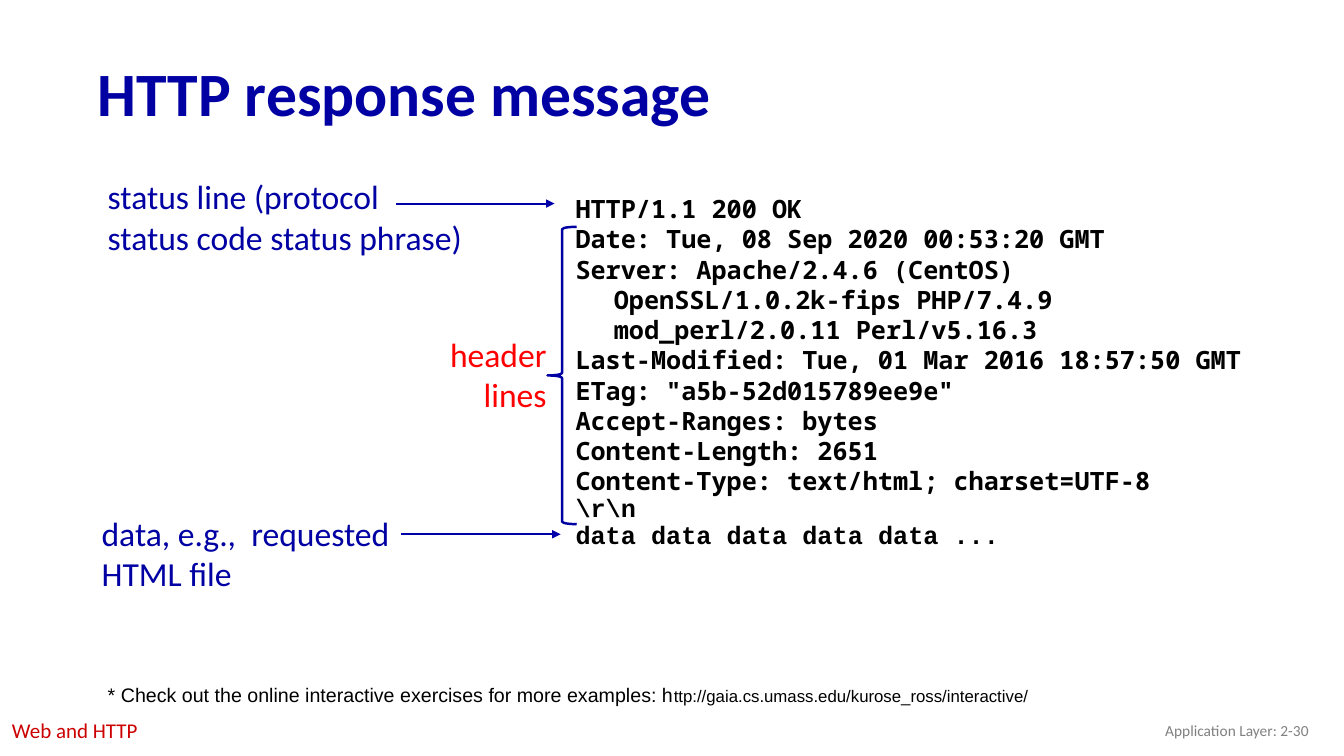
from lxml import etree
from pptx import Presentation
from pptx.dml.color import RGBColor
from pptx.enum.shapes import MSO_CONNECTOR, MSO_SHAPE
from pptx.enum.text import MSO_ANCHOR, PP_ALIGN
from pptx.oxml.ns import qn
from pptx.util import Emu, Pt

STRAIGHT = MSO_CONNECTOR.STRAIGHT
LEFT_BRACE = MSO_SHAPE.LEFT_BRACE
LEFT, RIGHT = PP_ALIGN.LEFT, PP_ALIGN.RIGHT
TOP, MIDDLE = MSO_ANCHOR.TOP, MSO_ANCHOR.MIDDLE

EMU_PER_PX = 9144  # 100 px to the inch
NAVY, ARROW_BLUE = "0000A3", "0000A8"
RED, DARK_RED = "FF0000", "CC0000"
GRAY, BLACK = "808080", "000000"
SANS, MONO, COURIER = "Calibri", "Noto Sans Mono", "Courier New"

RESPONSE_HEAD = [
    "HTTP/1.1 200 OK",
    "Date: Tue, 08 Sep 2020 00:53:20 GMT",
    "Server: Apache/2.4.6 (CentOS) OpenSSL/1.0.2k-fips PHP/7.4.9 "
    "mod_perl/2.0.11 Perl/v5.16.3",
    "Last-Modified: Tue, 01 Mar 2016 18:57:50 GMT",
    'ETag: "a5b-52d015789ee9e"',
    "Accept-Ranges: bytes",
    "Content-Length: 2651",
    "Content-Type: text/html; charset=UTF-8",
]
RESPONSE_BODY = ["\\r\\n", "data data data data data ..."]


def px(length):
    return Emu(length * EMU_PER_PX)


def color(hex_code):
    return RGBColor.from_string(hex_code)


def add_box(page, left, top, width, height, anchor=TOP, wrap=True):
    """Add an empty text box and return its text frame."""
    box = page.shapes.add_textbox(px(left), px(top), px(width), px(height))
    frame = box.text_frame
    frame.word_wrap = wrap
    frame.vertical_anchor = anchor
    return frame


def add_span(para, text, size=24, font=SANS, ink=NAVY, bold=False):
    span = para.add_run()
    span.text = text
    span.font.size = Pt(size)
    span.font.name = font
    span.font.bold = bold
    span.font.color.rgb = color(ink)


def write_lines(frame, lines, align=LEFT, spacing=1.0, hanging=0, **style):
    """Append one paragraph per line, filling the empty first one."""
    for line in lines:
        para = frame.paragraphs[0] if not frame.text else frame.add_paragraph()
        para.alignment = align
        para.line_spacing = spacing
        if hanging:
            properties = para._p.get_or_add_pPr()
            properties.set("marL", str(px(hanging)))
            properties.set("indent", str(-px(hanging)))
        add_span(para, line, **style)


def add_arrow(page, left, right, y):
    arrow = page.shapes.add_connector(STRAIGHT, px(left), px(y), px(right), px(y))
    arrow.line.color.rgb = color(ARROW_BLUE)
    arrow.line.width = Pt(1.5)
    etree.SubElement(arrow.line._get_or_add_ln(), qn("a:tailEnd"), type="triangle")
    etree.SubElement(arrow._element.spPr, qn("a:effectLst"))


def add_header_brace(page, left, top, width, height):
    brace = page.shapes.add_shape(
        LEFT_BRACE, px(left), px(top), px(width), px(height))
    brace.shadow.inherit = False
    brace.fill.background()
    brace.line.color.rgb = color(NAVY)
    brace.line.width = Pt(1.75)


def add_labels(page):
    write_lines(add_box(page, 97, 170, 444, 91),
                ["status line (protocol", "status code status phrase)"])
    write_lines(add_box(page, 435, 326, 117, 91, wrap=False),
                ["header", "lines"], align=RIGHT, ink=RED)
    write_lines(add_box(page, 91, 504, 394, 91),
                ["data, e.g.,  requested", "HTML file"])


def add_response(page):
    frame = add_box(page, 561, 187, 690, 382)
    style = dict(hanging=38, size=18, ink=BLACK, bold=True)
    write_lines(frame, RESPONSE_HEAD, font=MONO, **style)
    write_lines(frame, RESPONSE_BODY, font=COURIER, spacing=0.9, **style)


def add_footnote(page):
    para = add_box(page, 97, 673, 1041, 34).paragraphs[0]
    add_span(para, "* Check out the online interactive exercises for more examples: h",
             size=14, font="Arial", ink=BLACK)
    add_span(para, "ttp://gaia.cs.umass.edu/kurose_ross/interactive/",
             size=12, font="Arial", ink=BLACK)


def add_footer(page):
    write_lines(add_box(page, 1008, 705, 300, 40, anchor=MIDDLE),
                ["Application Layer: 2-30"], align=RIGHT, size=11, ink=GRAY)
    write_lines(add_box(page, 2, 707, 372, 35),
                ["Web and HTTP"], hanging=44, size=15, ink=DARK_RED)


def main():
    deck = Presentation()
    deck.slide_width, deck.slide_height = px(1333), px(750)
    page = deck.slides.add_slide(deck.slide_layouts[6])

    write_lines(add_box(page, 87, 47, 1150, 98, anchor=MIDDLE),
                ["HTTP response message"], spacing=0.9, size=44, bold=True)
    add_labels(page)
    add_response(page)
    add_arrow(page, 393, 550, 202)
    add_arrow(page, 398, 556, 530)
    add_footnote(page)
    add_header_brace(page, 543, 225, 29, 295)
    add_footer(page)

    deck.save("out.pptx")


if __name__ == "__main__":
    main()
